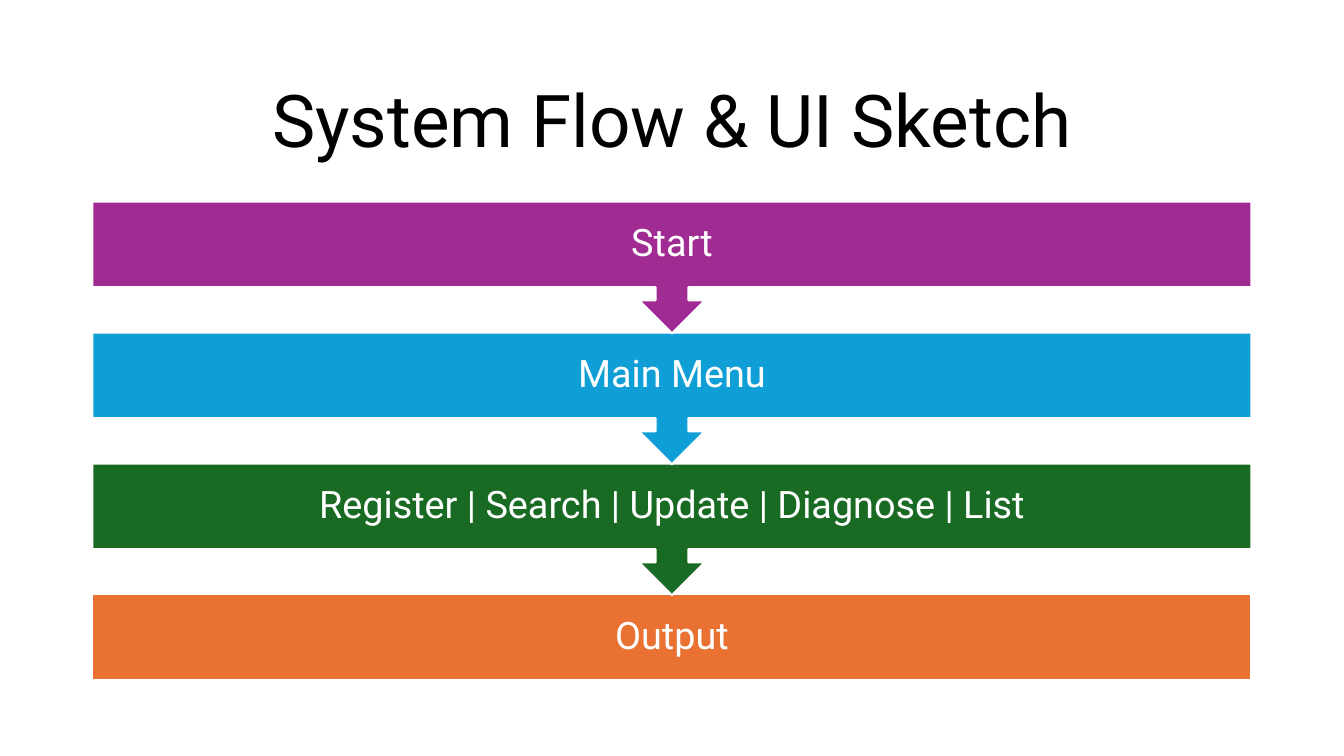
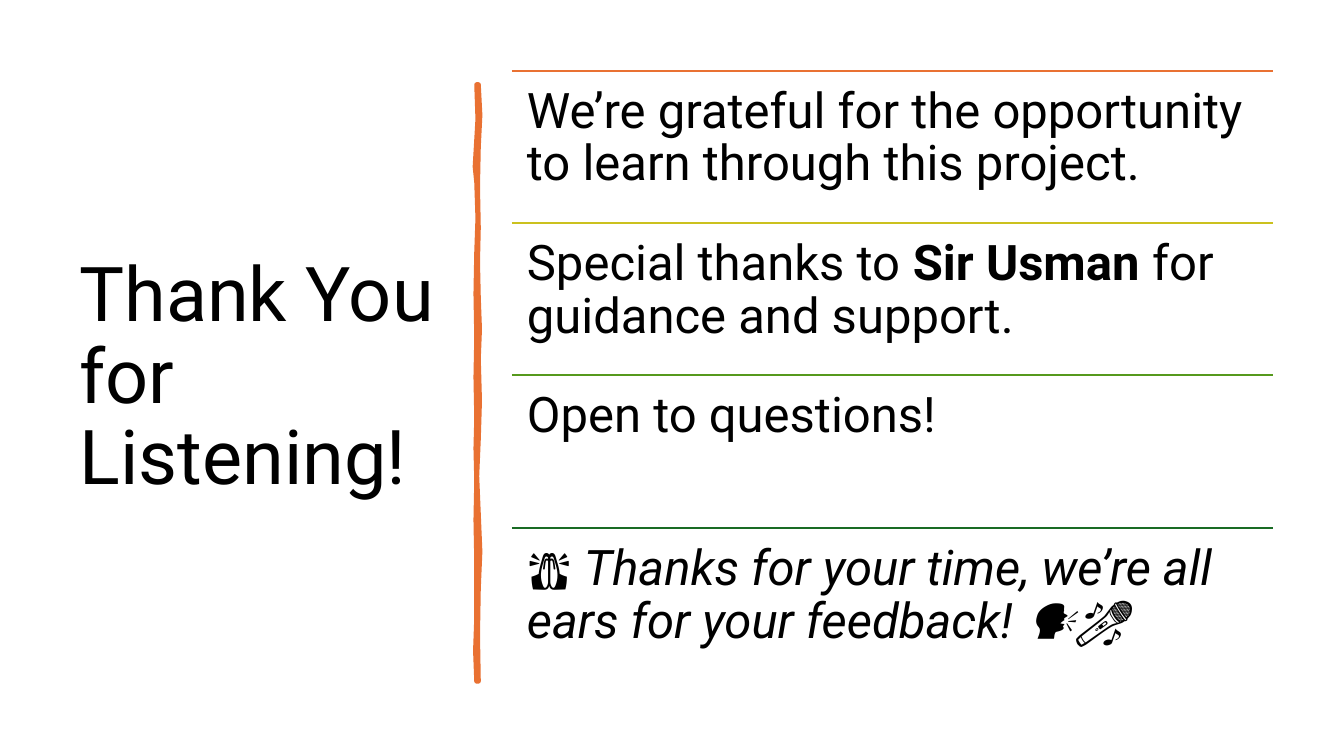
import dataclasses

import lxml.etree
import pptx
import pptx.dml.color
import pptx.enum.shapes
import pptx.enum.text
import pptx.oxml.ns
import pptx.util

Cm = pptx.util.Cm
Pt = pptx.util.Pt
SHAPE = pptx.enum.shapes.MSO_SHAPE
ALIGN = pptx.enum.text.PP_ALIGN
ANCHOR = pptx.enum.text.MSO_ANCHOR


@dataclasses.dataclass(frozen=True)
class Theme:
    """Colours, font and sizes shared by the slides."""

    font: str = "Roboto"
    ink: str = "000000"
    paper: str = "FFFFFF"
    purple: str = "A02B93"
    blue: str = "0F9ED5"
    green: str = "196B24"
    orange: str = "E97132"
    yellow: str = "CBC11E"
    lime: str = "56991D"
    flow_title: int = 52
    closing_title: int = 54
    step: int = 27
    message: int = 35
    rule: float = 1.5
    stroke: float = 3.25
    line_spacing: float = 0.9


THEME = Theme()

STEPS = [
    ("Start", THEME.purple),
    ("Main Menu", THEME.blue),
    ("Register | Search | Update | Diagnose | List", THEME.green),
    ("Output", THEME.orange),
]

MESSAGES = [
    (THEME.orange, [("We’re grateful for the opportunity to learn through this project.", "")]),
    (THEME.yellow, [("Special thanks to ", ""), ("Sir Usman ", "bold"), ("for guidance and support.", "")]),
    (THEME.lime, [("Open to questions!", "")]),
    (THEME.green, [("🙏 ", ""), ("Thanks for your time, we’re all ears for your feedback! 🗣️🎤", "italic")]),
]

BRUSH_OUTLINE = [
    (12.06, 2.13), (12.1, 2.9), (12.06, 3.7), (12.04, 4.7), (12.06, 5.74), (12.04, 6.6),
    (12.06, 7.5), (12.09, 8.3), (12.06, 9.04), (12.09, 10.1), (12.06, 11.07), (12.02, 12),
    (12.06, 12.95), (12.1, 13.9), (12.06, 14.83), (12.04, 16), (12.06, 17.17),
    (12.01, 17.17), (11.98, 16.4), (12.01, 15.57), (12.01, 14.15), (11.99, 13.1),
    (12.01, 12.12), (11.99, 11.3), (12.01, 10.54), (11.99, 9.5), (12.01, 8.51),
    (11.99, 7.4), (12.01, 6.35), (12.04, 5.5), (12.01, 4.6), (11.97, 4.2),
    (12.04, 3), (12.01, 2.13),
]


def rgb(color):
    """Return the colour for a hex string."""
    return pptx.dml.color.RGBColor.from_string(color)


def format_paragraph(p, size, color, align):
    """Apply the theme's font and spacing to a paragraph."""
    p.alignment = align
    p.line_spacing = THEME.line_spacing
    for r in p.runs:
        r.font.name = THEME.font
        r.font.size = Pt(size)
        r.font.color.rgb = rgb(color)


def set_frame(tf, inset, anchor):
    """Set wrapping, equal insets and vertical anchor."""
    tf.word_wrap = True
    tf.vertical_anchor = anchor
    tf.margin_left = tf.margin_right = tf.margin_top = tf.margin_bottom = Cm(inset)


def set_outline(sp, color, width):
    """Colour a shape's outline and set its width in points."""
    sp.line.color.rgb = rgb(color)
    sp.line.width = Pt(width)


def add_titled_slide(prs, text, box, size, align):
    """Add a title-only slide and place its title."""
    slide = prs.slides.add_slide(prs.slide_layouts[5])
    sp = slide.shapes.title
    sp.left, sp.top, sp.width, sp.height = (Cm(v) for v in box)
    tf = sp.text_frame
    tf.text = text
    tf.word_wrap = True
    tf.vertical_anchor = ANCHOR.MIDDLE
    format_paragraph(tf.paragraphs[0], size, THEME.ink, align)
    return slide


def add_step(slide, kind, top, height, text, color):
    """Add one full-width step of the flow."""
    sp = slide.shapes.add_shape(kind, Cm(2.33), Cm(top), Cm(29.21), Cm(height))
    sp.shadow.inherit = False
    sp.fill.solid()
    sp.fill.fore_color.rgb = rgb(color)
    set_outline(sp, THEME.paper, THEME.rule)
    tf = sp.text_frame
    set_frame(tf, 0.53, ANCHOR.MIDDLE)
    tf.text = text
    format_paragraph(tf.paragraphs[0], THEME.step, THEME.paper, ALIGN.CENTER)


def add_rule(slide, left, top, width, color):
    """Add a horizontal rule without a shadow."""
    line = slide.shapes.add_connector(
        pptx.enum.shapes.MSO_CONNECTOR.STRAIGHT, Cm(left), Cm(top), Cm(left + width), Cm(top))
    set_outline(line, color, THEME.rule)
    lxml.etree.SubElement(line._element.spPr, pptx.oxml.ns.qn("a:effectLst"))


def add_message(slide, top, height, color, parts):
    """Add a ruled message whose parts may be bold or italic."""
    left, width = 12.9, 19.18
    add_rule(slide, left, top, width, color)
    sp = slide.shapes.add_textbox(Cm(left), Cm(top), Cm(width), Cm(height))
    tf = sp.text_frame
    set_frame(tf, 0.38, ANCHOR.TOP)
    p = tf.paragraphs[0]
    for text, style in parts:
        r = p.add_run()
        r.text = text
        r.font.bold = style == "bold"
        r.font.italic = style == "italic"
    format_paragraph(p, THEME.message, THEME.ink, ALIGN.LEFT)


def add_brush_stroke(slide):
    """Add the wavy vertical divider."""
    points = [(Cm(x), Cm(y)) for x, y in BRUSH_OUTLINE]
    builder = slide.shapes.build_freeform(*points[0])
    builder.add_line_segments(points[1:], close=True)
    sp = builder.convert_to_shape()
    sp.shadow.inherit = False
    sp.fill.solid()
    sp.fill.fore_color.rgb = rgb(THEME.orange)
    set_outline(sp, THEME.orange, THEME.stroke)
    lxml.etree.SubElement(sp.line._get_or_add_ln(), pptx.oxml.ns.qn("a:round"))


def build_flow_slide(prs):
    """Build the system flow, last step at the back."""
    slide = add_titled_slide(
        prs, "System Flow & UI Sketch", (2.33, 1.55, 29.21, 3.15), THEME.flow_title, ALIGN.CENTER)
    last = len(STEPS) - 1
    for i, (text, color) in reversed(list(enumerate(STEPS))):
        kind, height = (SHAPE.RECTANGLE, 2.16) if i == last else (SHAPE.DOWN_ARROW_CALLOUT, 3.32)
        add_step(slide, kind, 5.08 + 3.3 * i, height, text, color)


def build_closing_slide(prs):
    """Build the closing slide with its ruled messages."""
    slide = add_titled_slide(
        prs, "Thank You for Listening!", (1.75, 1.78, 9.5, 15.52), THEME.closing_title, ALIGN.LEFT)
    add_brush_stroke(slide)
    pitch = 3.84
    for i, (color, parts) in enumerate(MESSAGES):
        add_message(slide, 1.78 + pitch * i, pitch, color, parts)


def main():
    """Build and save the presentation."""
    prs = pptx.Presentation()
    prs.slide_width, prs.slide_height = Cm(33.87), Cm(19.05)
    build_flow_slide(prs)
    build_closing_slide(prs)
    prs.save("out.pptx")


if __name__ == "__main__":
    main()
